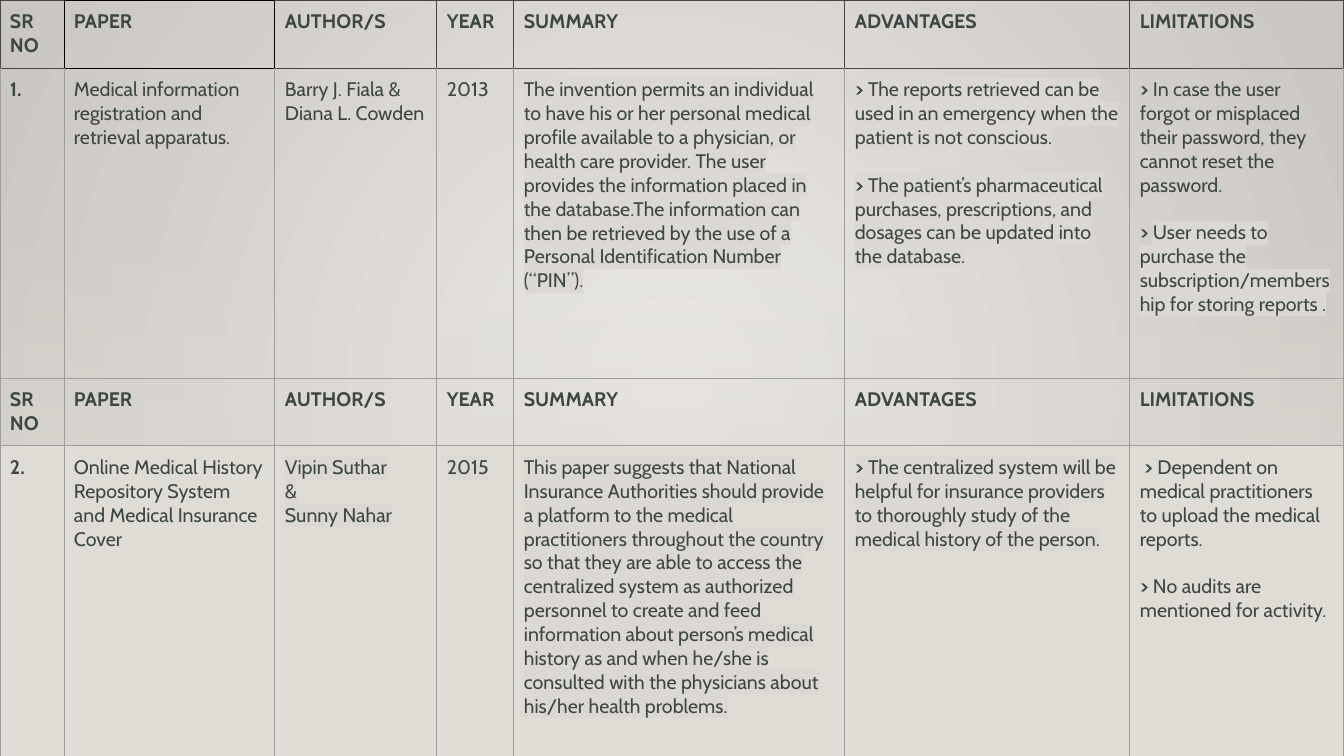
from lxml import etree
from pptx import Presentation
from pptx.dml.color import RGBColor
from pptx.enum.shapes import MSO_SHAPE
from pptx.oxml.ns import qn
from pptx.util import Pt

RECT = MSO_SHAPE.RECTANGLE
SCALE = 12192000 / 1344  # EMU in one px
INK = RGBColor(0x3C, 0x47, 0x43)
GLOW = RGBColor(0xDB, 0xD7, 0xD3)
SAND = RGBColor(0xDF, 0xDB, 0xD5)
LIGHT = RGBColor(0xEB, 0xE9, 0xE6)
STONE = RGBColor(0xC9, 0xC5, 0xC0)
GREY = RGBColor(0x9E, 0x9E, 0x9E)
DARK = RGBColor(0x45, 0x45, 0x45)
BLACK = RGBColor(0, 0, 0)

NONE = 9  # no line of the cell is highlighted
WIDTHS = [64, 211, 162, 77, 331, 285, 214]
HEADS = ["SR\nNO", "PAPER", "AUTHOR/S", "YEAR", "SUMMARY", "ADVANTAGES", "LIMITATIONS"]

# Each cell: its lines, and the index of the first highlighted line.
FIRST = [
    ("1.", NONE),
    ("Medical information registration and retrieval apparatus.", NONE),
    ("Barry J. Fiala &\nDiana L. Cowden", NONE),
    ("2013", NONE),
    ("The invention permits an individual to have his or her personal medical "
     "profile available to a physician, or health care provider. The user provides "
     "the information placed in the database.The information can then be retrieved "
     "by the use of a Personal Identification Number (“PIN”).", 0),
    ("> The reports retrieved can be used in an emergency when the patient is not "
     "conscious.\n> The patient’s pharmaceutical purchases, prescriptions, and "
     "dosages can be updated into the database.", 0),
    ("> In case the user forgot or misplaced their password, they cannot reset the "
     "password.\n> User needs to purchase the subscription/membership for storing "
     "reports .", 1),
]
SECOND = [
    ("2.", NONE),
    ("Online Medical History Repository System and Medical Insurance Cover", NONE),
    ("Vipin Suthar\n&\nSunny Nahar", 0),
    ("2015", 0),
    ("This paper suggests that National Insurance Authorities should provide a "
     "platform to the medical practitioners throughout the country so that they are "
     "able to access the centralized system as authorized personnel to create and "
     "feed information about person’s medical history as and when he/she is "
     "consulted with the physicians about his/her health problems.", 0),
    ("> The centralized system will be helpful for insurance providers to "
     "thoroughly study of the medical history of the person.", 0),
    (" > Dependent on medical practitioners to upload the medical reports.\n"
     "> No audits are mentioned for activity.", NONE),
]


def px(n):
    return round(n * SCALE)


def add(parent, tag, **attrs):
    return etree.SubElement(parent, qn(tag), **attrs)


def write(para, text, bold=False, lit=False):
    run = para.add_run()
    run.text = text
    font = run.font
    font.name, font.size, font.bold = "Cabin", Pt(14), bold
    font.color.rgb = INK
    if lit:
        glow = etree.Element(qn("a:highlight"))
        add(glow, "a:srgbClr", val=str(GLOW))
        font._element.find(qn("a:solidFill")).addnext(glow)


def border(cell, inks):
    """Draw the left, right, top and bottom edges in the given inks."""
    props = cell._tc.get_or_add_tcPr()
    for spot, (side, ink) in enumerate(zip("LRTB", inks)):
        line = etree.Element(qn(f"a:ln{side}"), w=str(Pt(0.75)))
        add(add(line, "a:solidFill"), "a:srgbClr", val=str(ink))
        props.insert(spot, line)


class Page:
    def __init__(self, deck):
        self.slide = deck.slides.add_slide(deck.slide_layouts[6])

    def back(self, inner, outer):
        """Fill the background with a gradient that spreads from the centre."""
        fill = self.slide.background.fill
        fill.gradient()
        for stop, ink in zip(fill.gradient_stops, (inner, outer)):
            stop.color.rgb = ink
        grad = next(self.slide._element.iter(qn("a:gradFill")))
        grad.remove(grad.find(qn("a:lin")))
        ring = add(grad, "a:path", path="circle")
        add(ring, "a:fillToRect", l="50000", t="50000", r="50000", b="50000")

    def fade(self, x, y, w, h, ink):
        """Add a band that goes from clear at the top to solid at the bottom."""
        band = self.slide.shapes.add_shape(RECT, px(x), px(y), px(w), px(h))
        band.shadow.inherit = False
        band.line.fill.background()
        band.fill.gradient()
        band.fill.gradient_angle = 270
        for stop in band.fill.gradient_stops:
            stop.color.rgb = ink
        add(next(band._element.iter(qn("a:srgbClr"))), "a:alpha", val="0")

    def cell(self, cell, text, start=NONE, bold=False, fill=None):
        cell.margin_left = cell.margin_right = px(10)
        cell.margin_top = cell.margin_bottom = px(10)
        if fill is None:
            cell.fill.background()
        else:
            cell.fill.solid()
            cell.fill.fore_color.rgb = fill
        frame = cell.text_frame
        for i, line in enumerate(text.split("\n")):
            para = frame.add_paragraph() if i else frame.paragraphs[0]
            lead, mark, rest = line.partition("> ")
            if mark:
                write(para, lead + mark, bold=True, lit=start == 0)
                para.space_before = Pt(17 if i else 0)
            write(para, rest or lead, bold=bold, lit=i >= start)

    def table(self, y, rows, body, inks, fill=None):
        """Add a header row, its edges in one ink a column, and a body row."""
        frame = self.slide.shapes.add_table(
            2, len(WIDTHS), 0, px(y), px(sum(WIDTHS)), px(sum(rows)))
        grid = frame.table
        grid.first_row = grid.horz_banding = False
        for row, tall in zip(grid.rows, rows):
            row.height = px(tall)
        for i, wide in enumerate(WIDTHS):
            grid.columns[i].width = px(wide)
            head, item = grid.cell(0, i), grid.cell(1, i)
            text, start = body[i]
            self.cell(head, HEADS[i], bold=True)
            self.cell(item, text, start, bold=i == 0, fill=fill)
            left, right = min(inks[max(i - 1, 0):i + 1]), min(inks[i:i + 2])
            border(head, (left, right, inks[i], inks[i]))
            border(item, (GREY, GREY, inks[i], GREY))


def main():
    deck = Presentation()
    deck.slide_width, deck.slide_height = px(1344), px(756)
    page = Page(deck)
    page.back(LIGHT, STONE)
    page.fade(0, 223, 1344, 452, SAND)
    page.table(0, (68, 310), FIRST, [DARK, BLACK] + [DARK] * 5)
    page.table(378, (67, 311), SECOND, [GREY] * 7, fill=SAND)
    deck.save("out.pptx")


if __name__ == "__main__":
    main()
